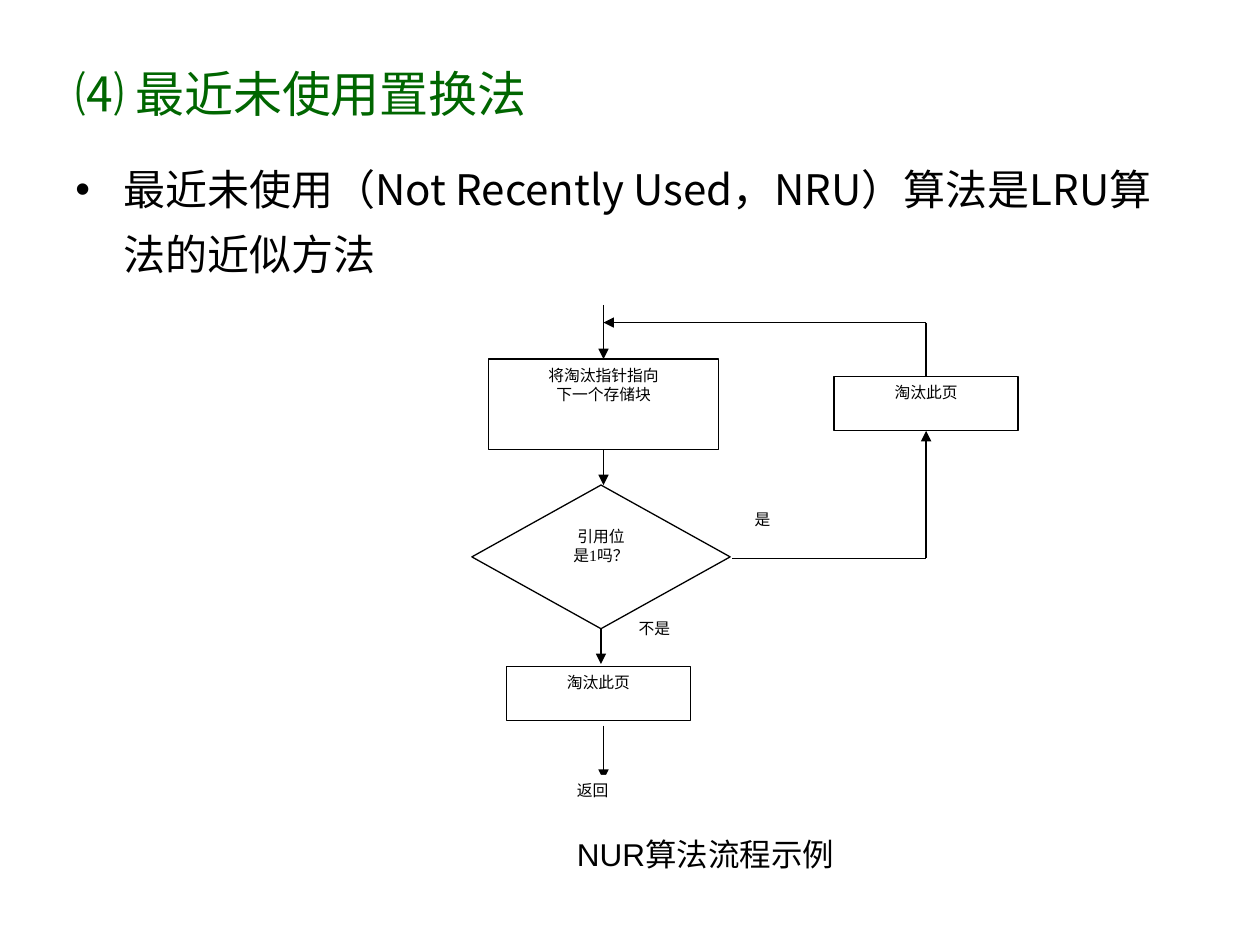
from lxml import etree
from pptx import Presentation
from pptx.dml.color import RGBColor
from pptx.enum.shapes import MSO_CONNECTOR, MSO_SHAPE
from pptx.enum.text import MSO_ANCHOR, PP_ALIGN
from pptx.oxml.ns import qn
from pptx.util import Inches, Pt

RECT, DIAMOND = MSO_SHAPE.RECTANGLE, MSO_SHAPE.FLOWCHART_DECISION
LINE = MSO_CONNECTOR.STRAIGHT
TOP, MIDDLE = MSO_ANCHOR.TOP, MSO_ANCHOR.MIDDLE
LEFT, CENTER, JUSTIFY = PP_ALIGN.LEFT, PP_ALIGN.CENTER, PP_ALIGN.JUSTIFY
COLS, ROWS = 10, 7.5
NORTH, SOUTH = 0, 2
SANS, LATIN, SERIF = "Noto Sans CJK SC", "Arial", "Times New Roman"


def color(code):
    return RGBColor.from_string(code)


class Board:
    ink, paper, green = "000000", "FFFFFF", "006600"
    small, stroke = 9, 0.75

    def __init__(self, deck):
        self.unit = deck.slide_width / COLS
        self.slide = deck.slides.add_slide(deck.slide_layouts[6])
        self.shapes = self.slide.shapes

    def grid(self, *cells):
        return [round(cell * self.unit) for cell in cells]

    def run(self, para, text, size, font, ink):
        run = para.add_run()
        run.text = text
        run.font.size = Pt(size)
        run.font.name = font
        run.font.color.rgb = color(ink)
        east = etree.SubElement(run.font._element, qn("a:ea"))
        east.set("typeface", SANS)

    def fill(self, frame, lines, size, font, align=LEFT, anchor=TOP, ink=ink, wrap=True):
        frame.word_wrap = wrap
        frame.vertical_anchor = anchor
        for i, line in enumerate(lines):
            para = frame.add_paragraph() if i else frame.paragraphs[0]
            para.alignment = align
            self.run(para, line, size, font, ink)

    def text(self, place, line, size, font, **style):
        box = self.shapes.add_textbox(*self.grid(*place))
        self.fill(box.text_frame, [line], size, font, **style)
        return box

    def bullet(self, place, line, size):
        box = self.text(place, line, size, SANS)
        para = box.text_frame.paragraphs[0]
        para.space_before = Pt(8)
        props = para._p.get_or_add_pPr()
        hang = Inches(0.38)
        props.set("marL", str(hang))
        props.set("indent", str(-hang))
        etree.SubElement(props, qn("a:buFont")).set("typeface", LATIN)
        etree.SubElement(props, qn("a:buChar")).set("char", "•")
        self.run(para, " ", 32, LATIN, self.ink)

    def block(self, mid, top, wide, high, *lines, kind=RECT, align=CENTER, edge=True):
        place = self.grid(mid - wide / 2, top, wide, high)
        shape = self.shapes.add_shape(kind, *place)
        shape.shadow.inherit = False
        shape.fill.solid()
        shape.fill.fore_color.rgb = color(self.paper)
        if edge:
            shape.line.color.rgb = color(self.ink)
            shape.line.width = Pt(self.stroke)
        else:
            shape.line.fill.background()
        self.fill(shape.text_frame, lines, self.small, SERIF, align=align)
        return shape

    def label(self, left, top, line):
        wide, high = 0.73, 0.43
        self.block(left + wide / 2, top, wide, high, line, align=JUSTIFY, edge=False)

    def link(self, start, end, arrow=True, head=None, tail=None):
        line = self.shapes.add_connector(LINE, *self.grid(*start, *end))
        line.line.color.rgb = color(self.ink)
        line.line.width = Pt(self.stroke)
        if arrow:
            etree.SubElement(line.line._get_or_add_ln(), qn("a:tailEnd")).set("type", "triangle")
        etree.SubElement(line._element.spPr, qn("a:effectLst"))
        if head:
            line.begin_connect(*head)
        if tail:
            line.end_connect(*tail)


def main():
    deck = Presentation()
    deck.slide_width, deck.slide_height = Inches(COLS), Inches(ROWS)
    board = Board(deck)

    board.text((0.5, 0.3, 9, 0.87), "⑷ 最近未使用置换法", 28, SANS,
               anchor=MIDDLE, ink=board.green)
    board.bullet((0.5, 1.25, 9, 5.45),
                 "最近未使用（Not Recently Used，NRU）算法是LRU算法的近似方法", 24)

    main_x, test_x, side_x = 4.79, 4.77, 7.35
    loop_y, test_y = 2.56, 4.43
    page = (1.46, 0.43)

    board.label(5.89, 4, "是")
    board.label(4.97, 4.86, "不是")
    point = board.block(main_x, 2.85, 1.83, 0.72, "将淘汰指针指向", "下一个存储块")
    swap = board.block(side_x, 2.99, *page, "淘汰此页")
    test = board.block(test_x, 3.85, 2.05, 1.14, "引用位", "是1吗？", kind=DIAMOND)
    board.block(4.75, 5.29, *page, "淘汰此页")

    board.link((main_x, 2.42), (main_x, 2.85), tail=(point, NORTH))
    board.link((main_x, 3.57), (main_x, 3.85), head=(point, SOUTH))
    board.link((test_x, 4.99), (test_x, 5.27), head=(test, SOUTH))
    board.link((main_x, 5.76), (main_x, 6.19))
    board.label(4.48, 6.15, "返回")
    board.link((5.81, test_y), (side_x, test_y), arrow=False)
    board.link((side_x, test_y), (side_x, 3.42), tail=(swap, SOUTH))
    board.link((side_x, loop_y), (main_x, loop_y))
    board.link((side_x, loop_y), (side_x, 2.99), arrow=False, tail=(swap, NORTH))

    board.text((4.48, 6.58, 2.36, 0.4), "NUR算法流程示例", 18, LATIN,
               anchor=MIDDLE, wrap=False)
    deck.save("out.pptx")


if __name__ == "__main__":
    main()
